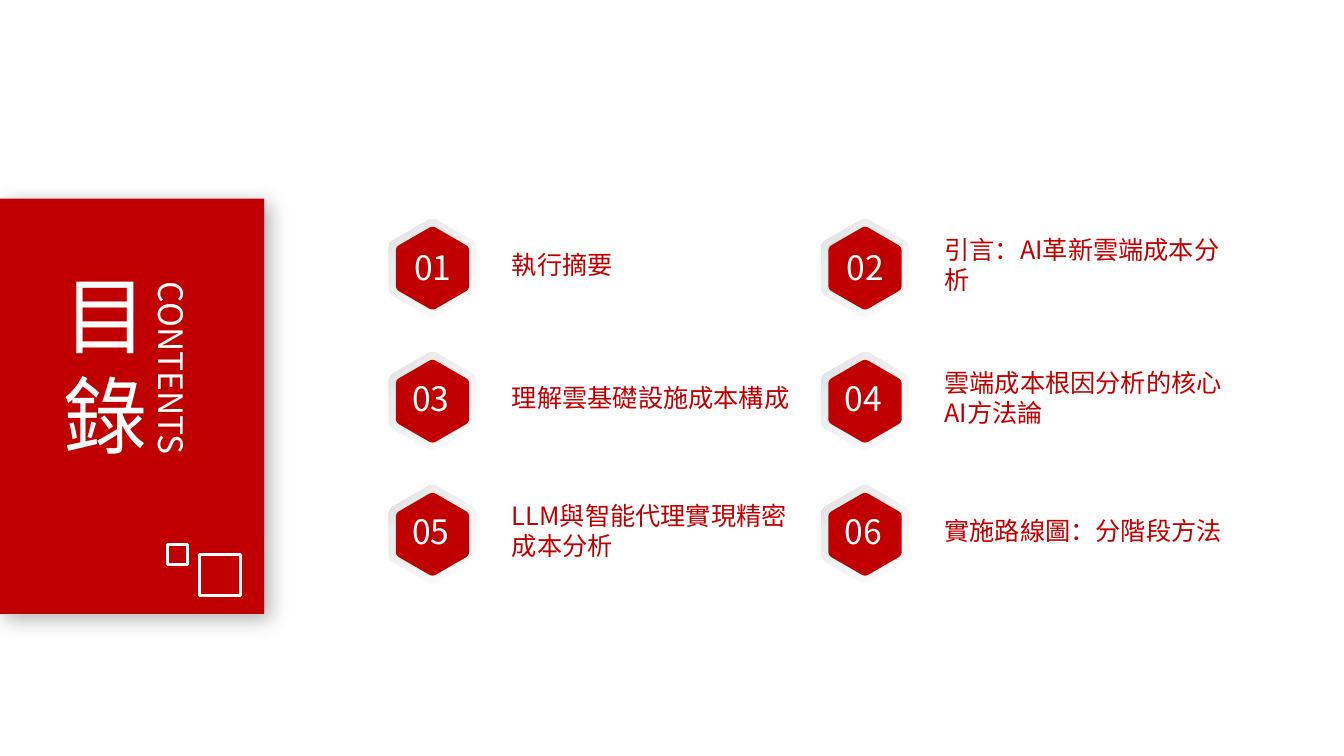
import copy
import math
from pptx import Presentation
from pptx.dml.color import RGBColor
from pptx.enum import shapes, text
from pptx.oxml import ns, parse_xml
from pptx.util import Pt

PX = 9144
RED = RGBColor(0xC0, 0x00, 0x00)
WHITE = RGBColor(0xFF, 0xFF, 0xFF)
SILVER = RGBColor(0xEC, 0xEC, 0xEC)
GRAY = RGBColor(0xD9, 0xD9, 0xD9)
FONT = "Noto Sans CJK SC"


def add_label(parent, words, left, top, width, height, size, color, centred=True):
    label = parent.add_textbox(left * PX, top * PX, width * PX, height * PX)
    frame = label.text_frame
    frame.text = words
    frame.word_wrap = True
    if centred:
        frame.auto_size = text.MSO_AUTO_SIZE.SHAPE_TO_FIT_TEXT
        frame.paragraphs[0].alignment = text.PP_ALIGN.CENTER
    else:
        frame.vertical_anchor = text.MSO_ANCHOR.MIDDLE
    run = frame.paragraphs[0].runs[0]
    run.font.size = Pt(size)
    run.font.name = FONT
    run.font.color.rgb = color
    east_asian = copy.deepcopy(run.font._element.find(ns.qn("a:latin")))
    east_asian.tag = ns.qn("a:ea")
    run.font._element.append(east_asian)
    return label


def add_hexagon(parent, center_x, center_y, radius, cut):
    corners = [(center_x + radius * math.cos(math.radians(60 * i)),
                center_y + radius * math.sin(math.radians(60 * i))) for i in range(6)]
    outline = []
    for i, corner in enumerate(corners):
        before, after = corners[i - 1], corners[(i + 1) % 6]
        start, end = [[c + (n - c) * cut / radius for c, n in zip(corner, near)]
                      for near in (before, after)]
        for step in range(7):
            t = step / 6
            outline.append([((1 - t) ** 2 * s + 2 * t * (1 - t) * c + t ** 2 * e) * PX
                            for s, c, e in zip(start, corner, end)])
    builder = parent.build_freeform(*outline[0])
    builder.add_line_segments(outline[1:], close=True)
    hexagon = builder.convert_to_shape()
    hexagon.rotation = 270
    hexagon.shadow.inherit = False
    hexagon.line.fill.background()
    return hexagon


deck = Presentation()
deck.slide_width, deck.slide_height = 1333 * PX, 750 * PX
slide = deck.slides.add_slide(deck.slide_layouts[6])
parts = slide.shapes

panel = parts.add_shape(shapes.MSO_SHAPE.RECTANGLE, 0, 197 * PX, 262 * PX, 412 * PX)
panel.fill.solid()
panel.fill.fore_color.rgb = RED
panel.line.fill.background()
panel.shadow.inherit = False
panel.element.spPr.find(ns.qn("a:effectLst")).append(parse_xml(
    f'<a:outerShdw {ns.nsdecls("a")} blurRad="{Pt(15)}" dist="{Pt(5)}" dir="2700000" '
    'algn="tl" rotWithShape="0"><a:srgbClr val="000000"><a:alpha val="30000"/>'
    '</a:srgbClr></a:outerShdw>'))

add_label(parts, "目錄", 50, 256, 110, 212, 60, WHITE)
contents = add_label(parts, "CONTENTS", -17, 340, 375, 50, 24, WHITE)
contents.rotation = 90

for left, top, side in [(198, 550, 41), (166, 540, 20)]:
    square = parts.add_shape(shapes.MSO_SHAPE.RECTANGLE,
                             left * PX, top * PX, side * PX, side * PX)
    square.fill.background()
    square.line.color.rgb = WHITE
    square.line.width = Pt(2.25)
    square.shadow.inherit = False

topics = [
    "執行摘要", "引言：AI革新雲端成本分析",
    "理解雲基礎設施成本構成", "雲端成本根因分析的核心AI方法論",
    "LLM與智能代理實現精密成本分析", "實施路線圖：分階段方法",
]
for index, topic in enumerate(topics):
    row, column = divmod(index, 2)
    center_x, center_y = 429 + 429 * column, 266 + 132 * row
    nudge = 2 if row else 0

    badge = parts.add_group_shape().shapes
    rim = add_hexagon(badge, center_x, center_y, 50, 5)
    rim.fill.gradient()
    rim.fill.gradient_angle = 45
    stop_list = rim.element.spPr.find(ns.qn("a:gradFill")).find(ns.qn("a:gsLst"))
    stop_list.insert(1, copy.deepcopy(stop_list[0]))
    for stop, (position, color) in zip(rim.fill.gradient_stops,
                                       [(0, WHITE), (0.73, SILVER), (1, GRAY)]):
        stop.position = position
        stop.color.rgb = color

    core = add_hexagon(badge, center_x, center_y, 42, 4)
    core.fill.solid()
    core.fill.fore_color.rgb = RED
    add_label(badge, f"{index + 1:02}", center_x - 46 - nudge, center_y - 26 - nudge,
              93, 50, 24, WHITE)

    add_label(parts, topic, center_x + 69, center_y - 32,
              310 if row == 1 else 297, 56, 18, RED, centred=False)

deck.save("out.pptx")
